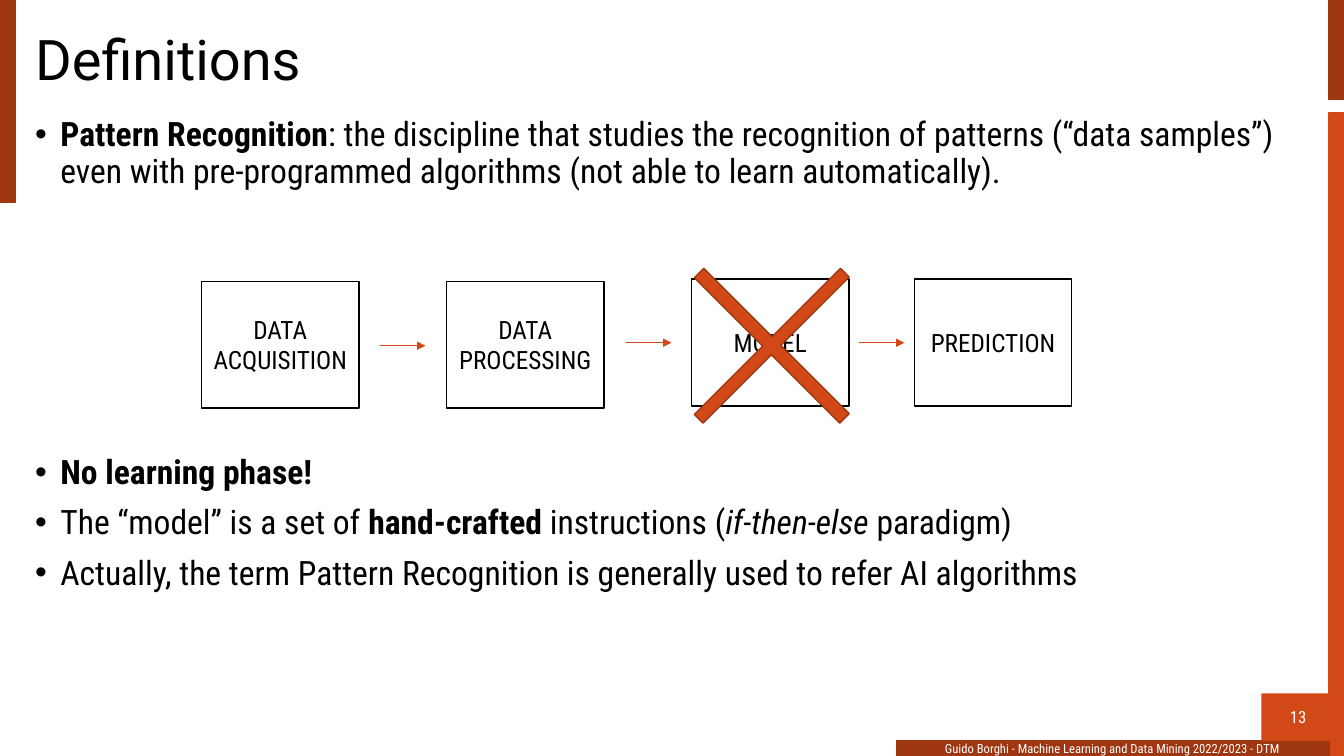
from lxml.etree import SubElement
from pptx import Presentation
from pptx.dml.color import RGBColor
from pptx.enum.shapes import MSO_CONNECTOR, MSO_SHAPE
from pptx.enum.text import MSO_ANCHOR, PP_ALIGN
from pptx.oxml.ns import qn
from pptx.util import Inches, Pt

BLACK = RGBColor(0, 0, 0)
WHITE = RGBColor(255, 255, 255)
ORANGE = RGBColor(0xD3, 0x48, 0x17)
RUST = RGBColor(0x9E, 0x36, 0x11)
CROSS_EDGE = RGBColor(0x9C, 0x35, 0x11)

WIDTH, HEIGHT = 13.33, 7.5
BAR = 0.15
MARGIN = 0.25
TEXT_WIDTH = 12.75
STAGE_WIDTH, STAGE_HEIGHT = 1.56, 1.26
ARROW_LENGTH = 0.45

TITLE = "Definitions"
PAGE = "13"
FOOTER = "Guido Borghi - Machine Learning and Data Mining 2022/2023 - DTM"
DEFINITION = [
    [("Pattern Recognition", "b"),
     (": the discipline that studies the recognition of patterns (“data samples”) "
      "even with pre-programmed algorithms (not able to learn automatically).", "")],
]
REMARKS = [
    [("No learning phase!", "b")],
    [("The “model” is a set of ", ""), ("hand-crafted", "b"),
     (" instructions (", ""), ("if-then-else", "i"), (" paradigm)", "")],
    [("Actually, the term Pattern Recognition is generally used to refer AI algorithms", "")],
]
STAGES = [
    ("DATA ACQUISITION", 2, 2.79),
    ("DATA PROCESSING", 4.43, 2.79),
    ("MODEL", 6.86, 2.77),
    ("PREDICTION", 9.07, 2.77),
]
ARROWS = [(3.77, 3.43), (6.21, 3.4), (8.52, 3.4)]
BARS = [
    (WIDTH - BAR, 1.12, BAR, HEIGHT - 1.12, ORANGE),
    (WIDTH - BAR, 0, BAR, 0.99, RUST),
    (0, 0, BAR, 2.01, RUST),
    (8.89, HEIGHT - BAR, 4.29, BAR, RUST),
]

deck = Presentation()
deck.slide_width, deck.slide_height = Inches(WIDTH), Inches(HEIGHT)
slide = deck.slides.add_slide(deck.slide_layouts[6])


def add_block(left, top, width, height, fill, edge=None, preset=MSO_SHAPE.RECTANGLE):
    block = slide.shapes.add_shape(
        preset, Inches(left), Inches(top), Inches(width), Inches(height))
    block.shadow.inherit = False
    block.fill.solid()
    block.fill.fore_color.rgb = fill
    if edge is None:
        block.line.fill.background()
    else:
        block.line.color.rgb = edge
        block.line.width = Pt(1)
    return block


def add_box(left, top, width, height):
    return slide.shapes.add_textbox(
        Inches(left), Inches(top), Inches(width), Inches(height))


def write(holder, paragraphs, size, font="Roboto Condensed", color=BLACK,
          align=PP_ALIGN.LEFT, anchor=MSO_ANCHOR.MIDDLE, spacing=1, bullet=False):
    frame = holder.text_frame
    frame.word_wrap = True
    frame.vertical_anchor = anchor
    for index, runs in enumerate(paragraphs):
        paragraph = frame.add_paragraph() if index else frame.paragraphs[0]
        paragraph.alignment = align
        paragraph.line_spacing = spacing
        paragraph.space_before = Pt(10 if index else 0)
        if bullet:
            properties = paragraph._p.get_or_add_pPr()
            properties.set("marL", str(Inches(0.25)))
            properties.set("indent", str(-Inches(0.25)))
            SubElement(properties, qn("a:buFont")).set("typeface", "Arial")
            SubElement(properties, qn("a:buChar")).set("char", "•")
        for words, style in runs:
            run = paragraph.add_run()
            run.text = words
            run.font.name = font
            run.font.size = Pt(size)
            run.font.color.rgb = color
            run.font.bold = style == "b"
            run.font.italic = style == "i"


for left, top, width, height, color in BARS:
    add_block(left, top, width, height, color, color)

write(add_box(8.89, 7.3, 4.28, 0.25), [[(FOOTER, "")]], 9,
      color=WHITE, align=PP_ALIGN.CENTER, anchor=MSO_ANCHOR.TOP)
write(add_block(12.51, 6.88, 0.73, 0.47, ORANGE), [[(PAGE, "")]], 12,
      color=WHITE, align=PP_ALIGN.CENTER)
write(add_box(MARGIN, 0.24, TEXT_WIDTH, 0.75), [[(TITLE, "")]], 40,
      font="Roboto", spacing=0.9)
for points, top, height in [(DEFINITION, 1.12, 0.9), (REMARKS, 4.47, 2.29)]:
    write(add_box(MARGIN, top, TEXT_WIDTH, height), points, 24,
          anchor=MSO_ANCHOR.TOP, spacing=0.9, bullet=True)

for label, left, top in STAGES:
    stage = add_block(left, top, STAGE_WIDTH, STAGE_HEIGHT, WHITE, BLACK)
    write(stage, [[(label, "")]], 18, align=PP_ALIGN.CENTER)

for left, level in ARROWS:
    arrow = slide.shapes.add_connector(
        MSO_CONNECTOR.STRAIGHT, Inches(left), Inches(level),
        Inches(left + ARROW_LENGTH), Inches(level))
    arrow.line.color.rgb = ORANGE
    arrow.line.width = Pt(0.5)
    SubElement(arrow.line._get_or_add_ln(), qn("a:tailEnd")).set("type", "triangle")
    SubElement(arrow._element.spPr, qn("a:effectLst"))

cross = add_block(6.63, 2.41, 2.05, 2.04, ORANGE, CROSS_EDGE, MSO_SHAPE.CROSS)
cross.adjustments[0] = 0.47
cross.rotation = 315

deck.save("out.pptx")
